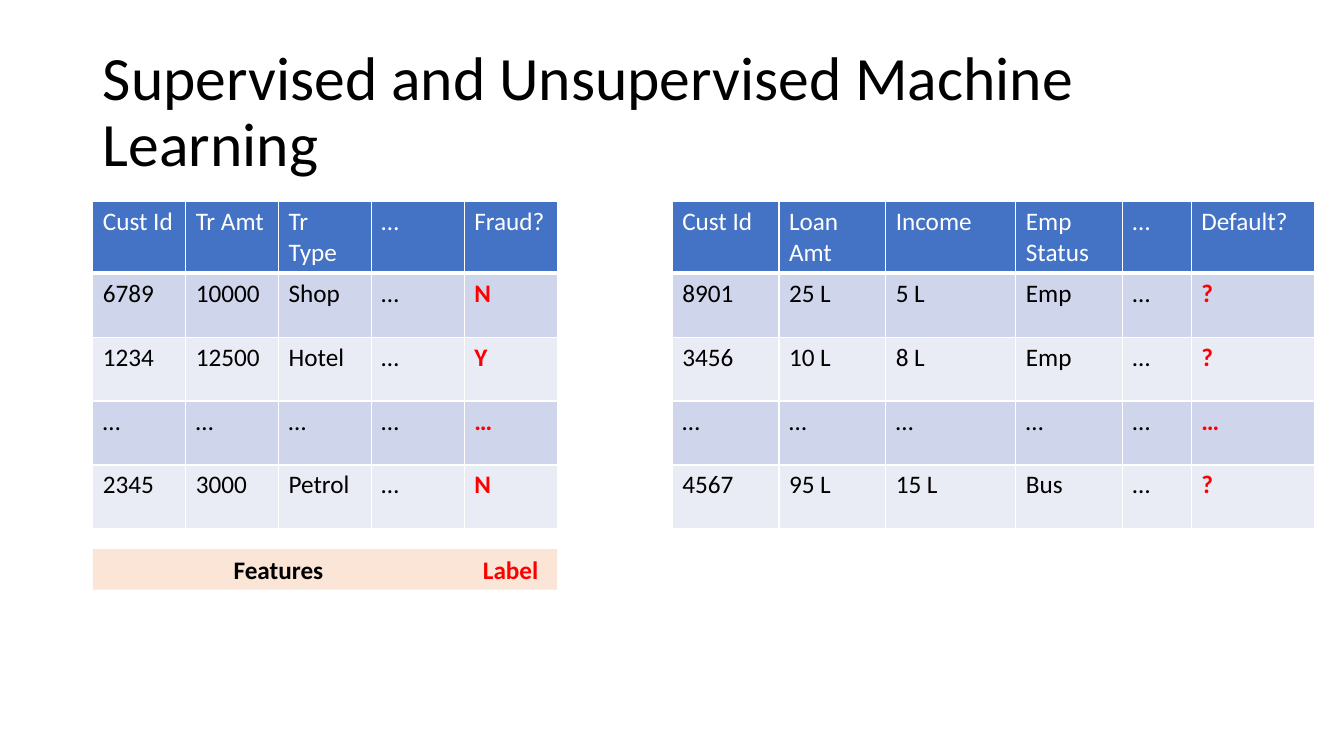
from lxml.etree import SubElement
from pptx import Presentation
from pptx.dml.color import RGBColor
from pptx.enum.shapes import MSO_SHAPE
from pptx.enum.text import MSO_ANCHOR, MSO_AUTO_SIZE, PP_ALIGN
from pptx.oxml.ns import qn
from pptx.util import Cm, Pt

HUES = {
    "head": "4472C4", "odd": "CFD5EA", "even": "E9EBF5", "tag": "FBE5D6",
    "white": "FFFFFF", "black": "000000", "red": "FF0000",
}
FRAUD = [
    ["Cust Id", "Tr Amt", "Tr Type", "…", "Fraud?"],
    ["6789", "10000", "Shop", "…", "N"],
    ["1234", "12500", "Hotel", "…", "Y"],
    ["…"] * 5,
    ["2345", "3000", "Petrol", "…", "N"],
]
LOANS = [
    ["Cust Id", "Loan Amt", "Income", "Emp Status", "…", "Default?"],
    ["8901", "25 L", "5 L", "Emp", "…", "?"],
    ["3456", "10 L", "8 L", "Emp", "…", "?"],
    ["…"] * 6,
    ["4567", "95 L", "15 L", "Bus", "…", "?"],
]


def paint(fill, hue):
    """Fill with one solid colour."""
    fill.solid()
    fill.fore_color.rgb = RGBColor.from_string(HUES[hue])


def style(para, hue, size=18, bold=False):
    """Set the font of a paragraph."""
    font = para.font
    font.name, font.size, font.bold = "Calibri", Pt(size), bold
    font.color.rgb = RGBColor.from_string(HUES[hue])


def edge(cell, base):
    """Draw white borders round a cell, the lower one base points wide."""
    props = cell._tc.get_or_add_tcPr()
    sides = {"a:lnL": 1, "a:lnR": 1, "a:lnT": 1, "a:lnB": base}
    for spot, (tag, width) in enumerate(sides.items()):
        line = SubElement(props, qn(tag), w=str(Pt(width)))
        fill = SubElement(line, qn("a:solidFill"))
        SubElement(fill, qn("a:srgbClr"), val=HUES["white"])
        props.insert(spot, line)


def add_title(slide, text, left, top, width, height):
    """Place the title in its box."""
    title = slide.shapes.title
    title.left, title.top = Cm(left), Cm(top)
    title.width, title.height = Cm(width), Cm(height)
    frame = title.text_frame
    frame.text = text
    frame.auto_size = MSO_AUTO_SIZE.NONE
    frame.vertical_anchor = MSO_ANCHOR.MIDDLE
    para = frame.paragraphs[0]
    para.alignment, para.line_spacing = PP_ALIGN.LEFT, 0.9
    style(para, "black", 44)


def add_grid(slide, rows, widths, left, top, tall=1.61):
    """Place a banded table whose last column holds the label."""
    grid = slide.shapes.add_table(
        len(rows), len(widths), Cm(left), Cm(top),
        Cm(sum(widths)), Cm(tall * len(rows))).table
    for col, width in zip(grid.columns, widths):
        col.width = Cm(width)
    for r, row in enumerate(rows):
        grid.rows[r].height = Cm(tall)
        band = "head" if r == 0 else "odd" if r % 2 else "even"
        for c, text in enumerate(row):
            cell = grid.cell(r, c)
            cell.text = text
            paint(cell.fill, band)
            edge(cell, 1 if r else 3)
            label = r > 0 and c == len(row) - 1
            hue = "red" if label else "black" if r else "white"
            style(cell.text_frame.paragraphs[0], hue, bold=label)


def add_tags(slide, tags, left, top, height):
    """Place a row of adjoining tags that name the columns above."""
    for text, hue, width in tags:
        tag = slide.shapes.add_shape(
            MSO_SHAPE.RECTANGLE, Cm(left), Cm(top), Cm(width), Cm(height))
        tag.shadow.inherit = False
        paint(tag.fill, "tag")
        tag.line.fill.background()
        frame = tag.text_frame
        frame.text = text
        frame.word_wrap = True
        frame.vertical_anchor = MSO_ANCHOR.TOP
        para = frame.paragraphs[0]
        para.alignment = PP_ALIGN.CENTER
        style(para, hue, bold=True)
        left += width


def main():
    """Build and save the slide."""
    deck = Presentation()
    deck.slide_width, deck.slide_height = Cm(33.87), Cm(19.05)
    slide = deck.slides.add_slide(deck.slide_layouts[5])
    left, top, col = 2.34, 5.08, 2.34
    add_title(slide, "Supervised and Unsupervised Machine Learning",
              left, 1.02, 29.21, 3.68)
    add_grid(slide, FRAUD, [col] * 5, left, top)
    add_grid(slide, LOANS, [2.69, 2.69, 3.28, 2.69, 1.73, 3.1], 16.94, top)
    tags = [("Features", "black", 4 * col), ("Label", "red", col)]
    add_tags(slide, tags, left, 13.84, 1.02)
    deck.save("out.pptx")


if __name__ == "__main__":
    main()
